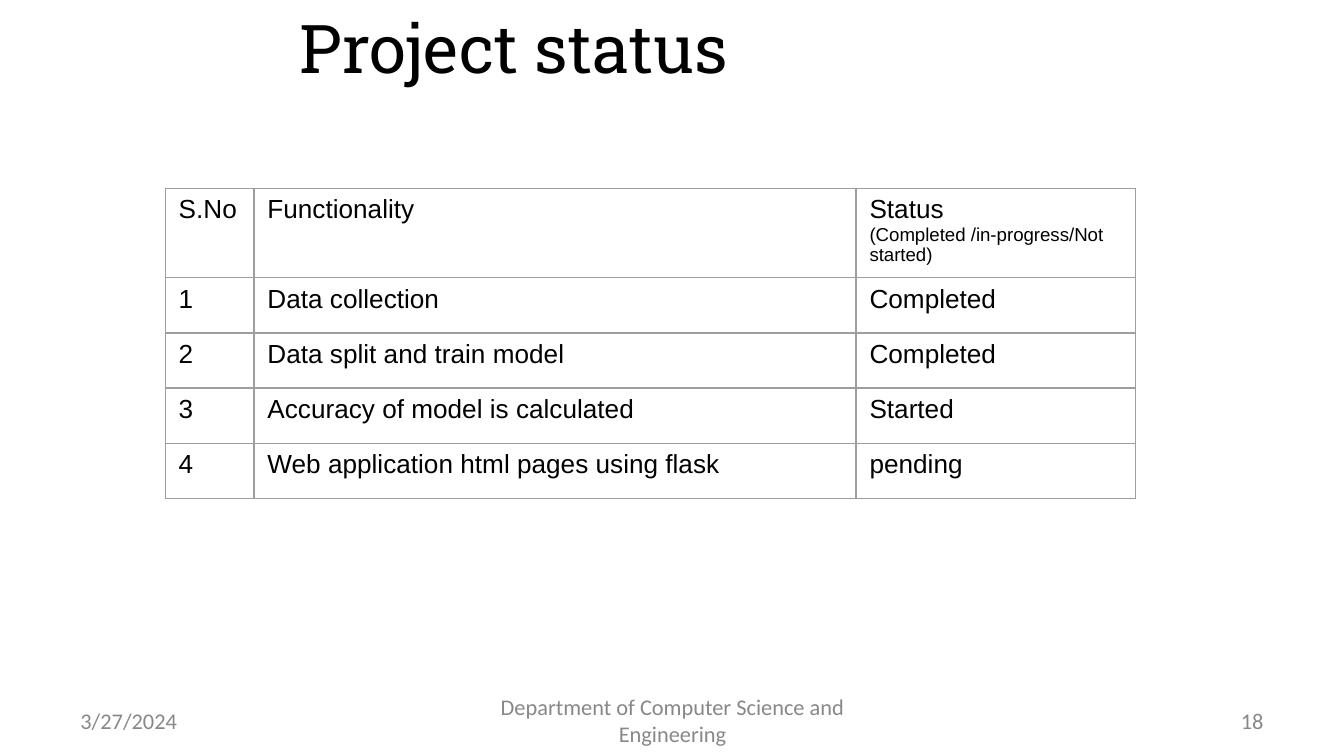
from dataclasses import dataclass

from lxml.etree import SubElement
from pptx import Presentation
from pptx.dml.color import RGBColor
from pptx.enum.text import MSO_ANCHOR, PP_ALIGN
from pptx.oxml.ns import qn
from pptx.slide import Slide
from pptx.table import _Cell
from pptx.text.text import _Paragraph
from pptx.util import Inches, Pt

BLACK, GRAY, BORDER = "000000", "888888", "9E9E9E"


@dataclass
class Label:
    text: str
    left: float
    top: float
    width: float
    height: float
    alignment: PP_ALIGN
    size: float = 12
    font: str = "Calibri"
    color: str = GRAY


LABELS = [
    Label("Project status", 0.48, 0, 6.69, 0.69, PP_ALIGN.CENTER, 36, "Roboto Slab", BLACK),
    Label("3/27/2024", 0.5, 5.21, 2.33, 0.3, PP_ALIGN.LEFT),
    Label("Department of Computer Science and Engineering", 3.42, 5.21, 3.17, 0.3, PP_ALIGN.CENTER),
    Label("18", 7.17, 5.21, 2.33, 0.3, PP_ALIGN.RIGHT),
]

COLUMN_WIDTHS = [0.66, 4.48, 2.08]
ROW_HEIGHT = 0.41
STATUS_ROWS = [
    ("S.No", "Functionality", "Status\n(Completed /in-progress/Not started)"),
    ("1", "Data collection", "Completed"),
    ("2", "Data split and train model", "Completed"),
    ("3", "Accuracy of model is calculated", "Started"),
    ("4", "Web application html pages using flask", "pending"),
]


def rgb(color: str) -> RGBColor:
    return RGBColor.from_string(color)


def format_paragraph(paragraph: _Paragraph, size: float, font: str, color: str) -> None:
    for run in paragraph.runs:
        run.font.size = Pt(size)
        run.font.name = font
        run.font.color.rgb = rgb(color)


def add_label(slide: Slide, label: Label) -> None:
    box = slide.shapes.add_textbox(
        Inches(label.left), Inches(label.top), Inches(label.width), Inches(label.height)
    )
    text_frame = box.text_frame
    text_frame.word_wrap = True
    text_frame.vertical_anchor = MSO_ANCHOR.MIDDLE
    text_frame.text = label.text
    paragraph = text_frame.paragraphs[0]
    paragraph.alignment = label.alignment
    format_paragraph(paragraph, label.size, label.font, label.color)


def add_borders(cell: _Cell) -> None:
    # Border lines must come before the fill in the cell properties
    properties = cell._tc.get_or_add_tcPr()
    for side in ("a:lnL", "a:lnR", "a:lnT", "a:lnB"):
        line = SubElement(properties, qn(side), w=str(Pt(0.75)))
        fill = SubElement(line, qn("a:solidFill"))
        SubElement(fill, qn("a:srgbClr"), val=BORDER)


def fill_cell(cell: _Cell, text: str) -> None:
    add_borders(cell)
    cell.fill.background()
    cell.text_frame.text = text
    for index, paragraph in enumerate(cell.text_frame.paragraphs):
        format_paragraph(paragraph, 10 if index else 14, "Arial", BLACK)


def add_status_table(slide: Slide) -> None:
    frame = slide.shapes.add_table(
        len(STATUS_ROWS), len(COLUMN_WIDTHS),
        Inches(1.23), Inches(1.4), Inches(sum(COLUMN_WIDTHS)), Inches(2.29),
    )
    table = frame.table
    table.first_row = False
    table.horz_banding = False
    for column, width in zip(table.columns, COLUMN_WIDTHS):
        column.width = Inches(width)
    for row, texts in zip(table.rows, STATUS_ROWS):
        row.height = Inches(ROW_HEIGHT)
        for cell, text in zip(row.cells, texts):
            fill_cell(cell, text)
    # The header row grows with its text, so the frame is taller than the rows
    frame.height = Inches(2.29)


def main() -> None:
    presentation = Presentation()
    presentation.slide_width = Inches(10)
    presentation.slide_height = Inches(10) * 9 // 16
    slide = presentation.slides.add_slide(presentation.slide_layouts[6])

    # Title and footer
    for label in LABELS:
        add_label(slide, label)

    # Progress of each functionality
    add_status_table(slide)

    presentation.save("out.pptx")


if __name__ == "__main__":
    main()
